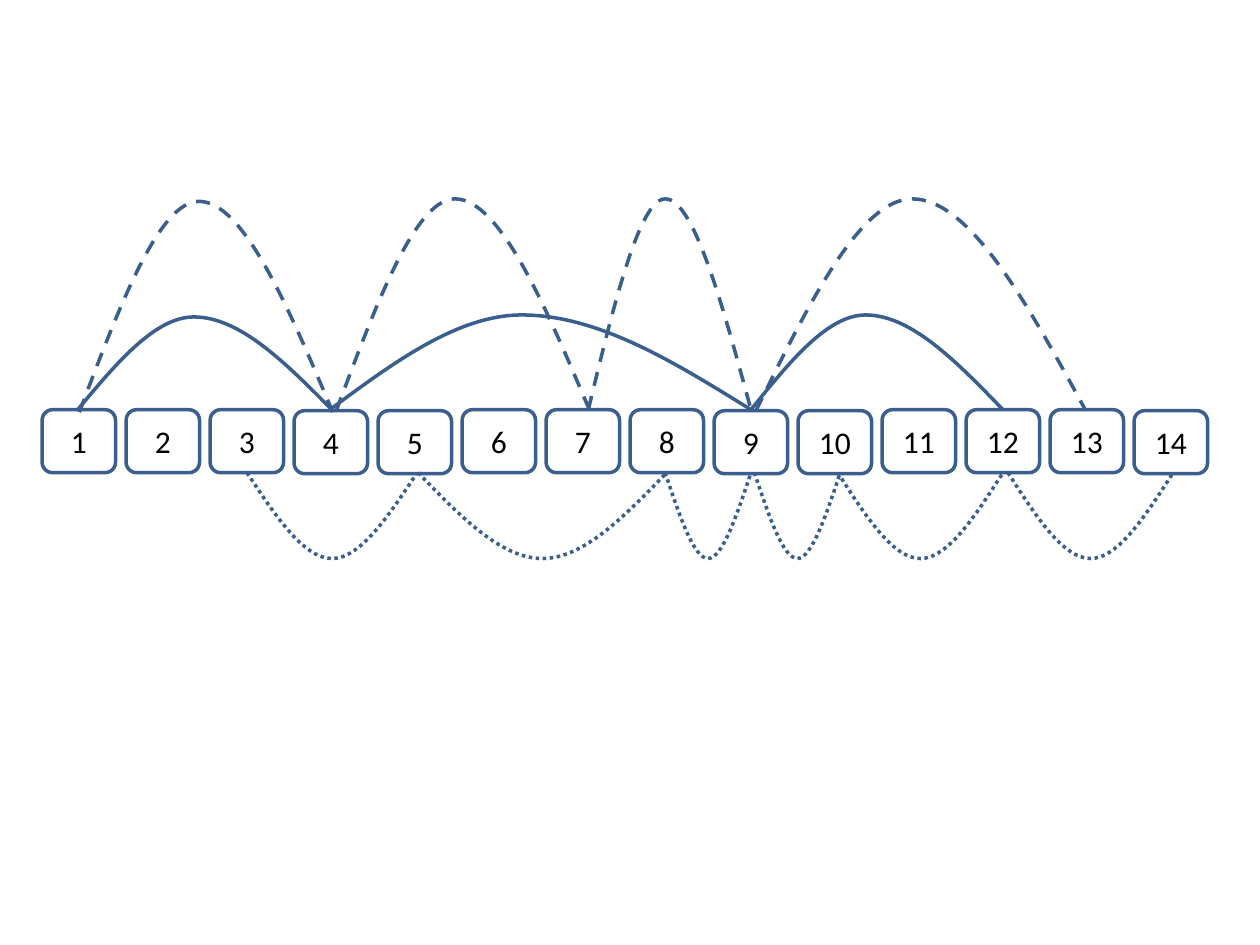
"""Build a slide of fourteen numbered boxes linked by three levels of arcs."""
from lxml import etree
from pptx import Presentation
from pptx import util as u
from pptx.dml.color import RGBColor
from pptx.enum import dml, shapes, text
from pptx.oxml.ns import qn


def color(value):
    """Turn a hex string into a colour."""
    return RGBColor.from_string(value)


def add_arc(slide, start, peak, end, base, height, dash):
    """Draw an arc of two Bezier curves that meet at the peak."""
    rise = (base + height) / 2
    points = [
        (start + (peak - start) / 3, rise),
        (start + (peak - start) * 2 / 3, height),
        (peak, height),
        (peak + (end - peak) / 3, height),
        (peak + (end - peak) * 2 / 3, rise),
        (end, base),
    ]
    builder = slide.shapes.build_freeform(u.Cm(start), u.Cm(base))
    builder.add_line_segments([(u.Cm(x), u.Cm(y)) for x, y in points], close=False)
    arc = builder.convert_to_shape()
    segments = list(arc.element.iter(qn("a:lnTo")))
    path = segments[0].getparent()
    for first in (0, 3):
        curve = etree.SubElement(path, qn("a:cubicBezTo"))
        for segment in segments[first:first + 3]:
            curve.append(segment[0])
            path.remove(segment)
    arc.shadow.inherit = False
    arc.fill.background()
    arc.line.color.rgb = color(BLUE)
    arc.line.width = u.Pt(2)
    arc.line.dash_style = dash


BLUE = "3A5F8C"
BOX_PITCH = 5.08 / 3
LOWERED_BOXES = (4, 5, 9, 10, 14)

presentation = Presentation()
presentation.slide_width = u.Cm(25.4)
presentation.slide_height = u.Cm(19.05)
slide = presentation.slides.add_slide(presentation.slide_layouts[6])

for number in range(1, 15):
    left = 0.85 + (number - 1) * BOX_PITCH
    top = 8.28 if number in LOWERED_BOXES else 8.26
    box = slide.shapes.add_shape(
        shapes.MSO_SHAPE.ROUNDED_RECTANGLE, u.Cm(left), u.Cm(top), u.Cm(1.48), u.Cm(1.27)
    )
    box.shadow.inherit = False
    box.fill.solid()
    box.fill.fore_color.rgb = color("FFFFFF")
    box.line.color.rgb = color(BLUE)
    box.line.width = u.Pt(2)
    box.text_frame.vertical_anchor = text.MSO_ANCHOR.MIDDLE
    paragraph = box.text_frame.paragraphs[0]
    paragraph.text = str(number)
    paragraph.alignment = text.PP_ALIGN.CENTER
    paragraph.font.name = "Calibri"
    paragraph.font.size = u.Pt(18)
    paragraph.font.color.rgb = color("000000")

solid_arcs = [
    (1.55, 3.91, 6.71, 8.28, 6.39),
    (6.65, 10.52, 15.14, 8.26, 6.35),
    (15.14, 17.45, 20.22, 8.26, 6.35),
]
dashed_arcs = [
    (1.6, 4.01, 6.71, 8.31, 4.06),
    (6.78, 9.17, 11.89, 8.28, 4.01),
    (11.86, 13.41, 15.14, 8.26, 4.01),
    (15.24, 18.39, 21.89, 8.28, 4.01),
]
dotted_spans = [
    (4.98, 8.41),
    (8.43, 13.44),
    (13.41, 15.14),
    (15.21, 16.94),
    (16.89, 20.22),
    (20.32, 23.65),
]
dotted_arcs = [(start, (start + end) / 2, end, 9.53, 11.26) for start, end in dotted_spans]

for arcs, dash in (
    (solid_arcs, dml.MSO_LINE.SOLID),
    (dashed_arcs, dml.MSO_LINE.DASH),
    (dotted_arcs, dml.MSO_LINE.ROUND_DOT),
):
    for arc in arcs:
        add_arc(slide, *arc, dash)

presentation.save("out.pptx")
